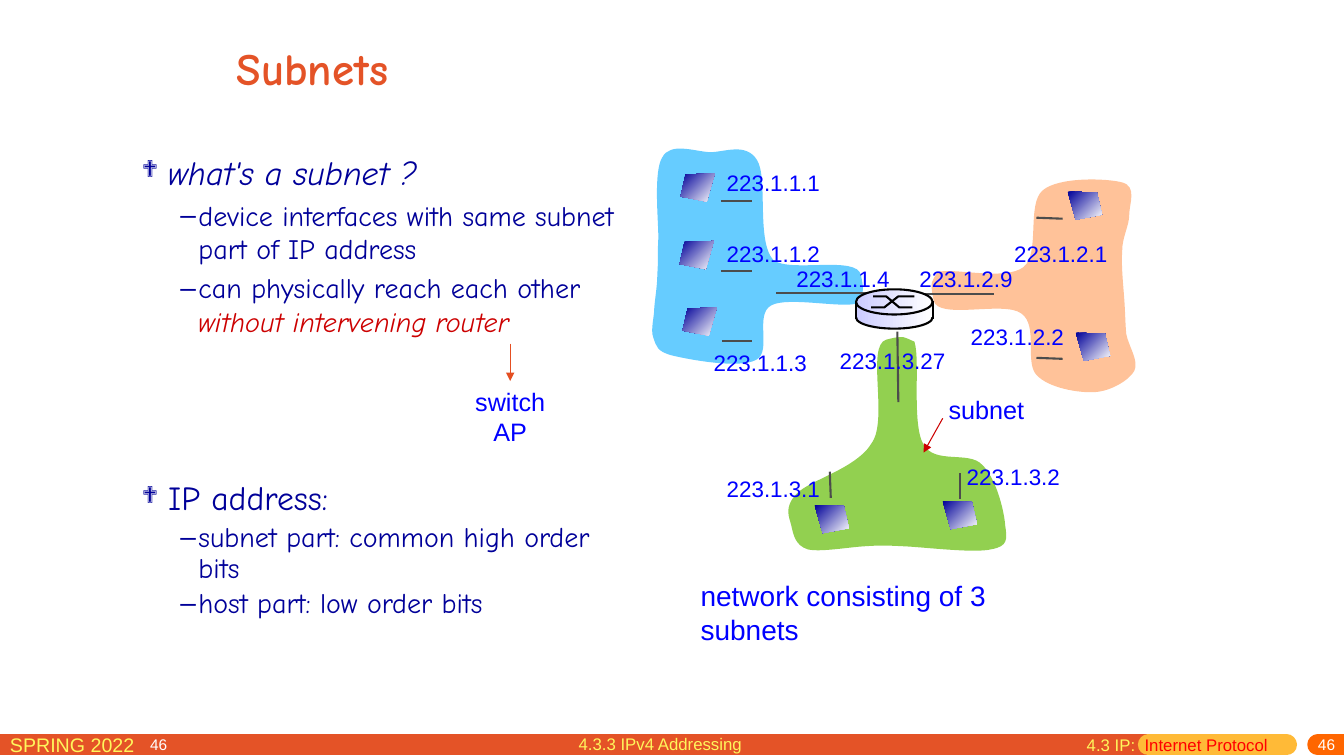
import lxml.etree
import pptx
import pptx.dml.color
import pptx.enum.shapes
import pptx.enum.text
import pptx.oxml.ns
import pptx.util

qn = pptx.oxml.ns.qn
ALIGN = pptx.enum.text.PP_ALIGN
ANCHOR = pptx.enum.text.MSO_ANCHOR
SHAPE = pptx.enum.shapes.MSO_SHAPE
COLS, ROWS = 133.3, 75


class Theme:
    sans, hand, symbol = "Arial", "Comic Neue", "Wingdings"
    title, head, body = 32, 24, 20
    caption, note, address, season, footer, number = 20, 18, 16, 14, 12, 11
    orange, amber, bright = "E45327", "FFBA37", "FF6600"
    yellow, red, white, black = "FFF65C", "FF0000", "FFFFFF", "000000"
    navy, blue, crimson, arrow = "000099", "0000FF", "CC0000", "E44F22"
    wire, lilac = "4C4C4C", "CCCCFF"
    sky, peach, green = "66CCFF", "FFC299", "92D050"


SKY_EDGE = [
    (85.4, 27.3), (85, 25.3), (78.4, 27.1), (76.7, 25.8), (75, 23.9), (76.2, 17.7), (75.1, 15.9),
    (74, 14.1), (71.9, 15.1), (70.4, 15.1), (68.8, 15), (66.5, 14.1), (65.7, 15.6),
    (64.8, 17), (65.3, 21.7), (65.3, 23.6), (65.2, 25.5), (65.3, 26), (65.2, 27.2),
    (65.2, 28.3), (65, 29.4), (64.9, 30.5), (64.9, 31.5), (64.5, 32.7), (64.8, 33.5),
    (65.1, 34.3), (65.1, 34.9), (66.8, 35.3), (68.5, 35.7), (73.4, 36.6), (75, 35.7),
    (76.6, 34.9), (74.8, 31.2), (76.5, 30.3), (78.1, 29.4), (83.5, 30.6), (85, 30.1),
    (85.5, 29.1), (85.8, 29.3), (85.4, 27.3)]
PEACH_EDGE = [
    (92.6, 29.8), (93, 31.8), (99.6, 29.8), (101.3, 31.1), (103, 32.3), (101.6, 35.9), (102.8, 37.2),
    (104, 38.5), (107, 39), (108.6, 38.9), (110.2, 38.8), (112, 37.7), (112.5, 36.8),
    (113, 35.8), (111.9, 34.3), (111.7, 33.1), (111.6, 31.9), (111.6, 30.9), (111.5, 29.6),
    (111.4, 28.2), (111.2, 26.3), (111.3, 24.9), (111.3, 23.5), (112, 22.4), (112, 21.3),
    (112, 20.2), (112.8, 18.5), (111.3, 18.1), (109.9, 17.7), (105, 17.5), (103.4, 18.9),
    (101.8, 20.3), (103.2, 25.2), (101.5, 26.5), (99.7, 27.9), (94.4, 26.5), (93, 27),
    (92.4, 28), (92.2, 27.8), (92.6, 29.8)]
GREEN_EDGE = [
    (87.9, 33.7), (85.9, 34.3), (88.1, 41.5), (86.5, 43.9), (85, 46.5), (80.3, 47.6), (79, 49),
    (77.7, 50.4), (78.3, 51.3), (78.5, 52.2), (78.7, 53.1), (78.9, 54.1), (80.1, 54.5),
    (81.3, 54.8), (84.1, 54.3), (85.7, 54.2), (87.3, 54.1), (87.6, 54.1), (89.7, 54.2),
    (91.8, 54.3), (96.7, 54.9), (98.3, 54.5), (100, 54.2), (99.9, 53.5), (99.7, 52.1),
    (99.6, 50.7), (98.8, 47.4), (97.4, 46.1), (96.1, 44.7), (92.7, 46.1), (91.6, 44.1),
    (90.4, 42.1), (91.3, 35.7), (90.7, 33.9), (89.7, 33.5), (89.8, 33.2), (87.9, 33.7)]

WIRES = [(71.5, 19.9, 74.6, 19.9), (71.5, 26.9, 74.6, 26.9), (71.6, 33.8, 74.6, 33.8),
         (77, 29.1, 86, 29.1), (91.6, 29.2, 98.6, 29.2), (102.8, 21.6, 105.4, 21.7),
         (102.8, 35.5, 105.4, 35.6), (89, 32.9, 89.1, 39.9), (82.4, 49.4, 82.3, 46.8),
         (95.2, 49.5, 95.2, 46.9)]
ADDRESSES = [("223.1.1.1", 71.1, 16.3), ("223.1.1.2", 71.1, 23.3), ("223.1.1.3", 69.8, 34.1),
             ("223.1.1.4", 78, 25.8), ("223.1.2.9", 90.2, 25.8), ("223.1.2.1", 99.6, 23.3),
             ("223.1.2.2", 95.3, 31.6), ("223.1.3.27", 82.3, 33.9), ("223.1.3.1", 71.1, 46.6),
             ("223.1.3.2", 94.9, 45.5)]
HOST = [(0, 0), (2.9, 0.1), (3.4, 2.3), (0.8, 2.8)]
MIRRORED_HOST = [(3.4 - x, y) for x, y in HOST]
LEFT_HOSTS = [(67.5, 17.2), (67.4, 23.9), (67.7, 30.5)]
OTHER_HOSTS = [(105.9, 19), (106.7, 33), (93.5, 49.7), (80.8, 50.1)]


def cell(n):
    return pptx.util.Inches(n / 10)


def rgb(color):
    return pptx.dml.color.RGBColor.from_string(color)


def add_run(p, text, size, color, font=Theme.sans, bold=False, italic=False):
    r = p.add_run()
    r.text = text
    r.font.size, r.font.name = pptx.util.Pt(size), font
    r.font.bold, r.font.italic = bold, italic
    r.font.color.rgb = rgb(color)


def add_box(s, x, y, w, h, wrap=True, grow=False, anchor=ANCHOR.TOP):
    sp = s.shapes.add_textbox(cell(x), cell(y), cell(w), cell(h))
    tf = sp.text_frame
    tf.word_wrap, tf.vertical_anchor = wrap, anchor
    if grow:
        tf.auto_size = pptx.enum.text.MSO_AUTO_SIZE.SHAPE_TO_FIT_TEXT
    return sp


def add_text(s, box, lines, align=ALIGN.LEFT, **options):
    sp = add_box(s, *box, **options)
    tf = sp.text_frame
    for i, runs in enumerate(lines):
        p = tf.add_paragraph() if i else tf.paragraphs[0]
        p.alignment = align
        for run in runs:
            add_run(p, *run)
    return sp


def add_bullets(s, box, items, spacing):
    tf = add_box(s, *box).text_frame
    for i, runs in enumerate(items):
        p = tf.add_paragraph() if i else tf.paragraphs[0]
        pPr = p._p.get_or_add_pPr()
        margin, indent = (0.56, -0.18) if i else (0.26, -0.26)
        pPr.set("marL", str(pptx.util.Inches(margin)))
        pPr.set("indent", str(pptx.util.Inches(indent)))
        if not i:
            lxml.etree.SubElement(pPr, qn("a:buSzPct"), val="70000")
        lxml.etree.SubElement(pPr, qn("a:buFont"), typeface=Theme.sans if i else Theme.symbol)
        lxml.etree.SubElement(pPr, qn("a:buChar"), char="–" if i else "❖")
        p.level = min(i, 1)
        p.line_spacing = spacing
        p.space_before = pptx.util.Pt(4 if i else 0)
        for text, color, italic in runs:
            add_run(p, text, Theme.body if i else Theme.head, color, Theme.hand, italic=italic)


def add_line(s, ends, color, width=1.5, arrow=False, cap="flat"):
    c = s.shapes.add_connector(pptx.enum.shapes.MSO_CONNECTOR.STRAIGHT, *map(cell, ends))
    c.line.color.rgb, c.line.width = rgb(color), pptx.util.Pt(width)
    spPr = c.element.spPr
    ln = spPr.find(qn("a:ln"))
    ln.set("cap", cap)
    if arrow:
        lxml.etree.SubElement(ln, qn("a:tailEnd"), type="triangle")
    lxml.etree.SubElement(spPr, qn("a:effectLst"))
    return c


def paint(sp, fill=None, fade=None, angle=0, line=None):
    sp.shadow.inherit = False
    if fade:
        sp.fill.gradient()
        sp.fill.gradient_angle = angle
        for stop, color in zip(sp.fill.gradient_stops, (fade, Theme.white)):
            stop.color.rgb = rgb(color)
    elif fill:
        sp.fill.solid()
        sp.fill.fore_color.rgb = rgb(fill)
    else:
        sp.fill.background()
    if line:
        sp.line.color.rgb, sp.line.width = rgb(line), pptx.util.Pt(1.5)
    else:
        sp.line.fill.background()


def add_outline(s, points, close=True, **style):
    points = [(cell(x), cell(y)) for x, y in points]
    builder = s.shapes.build_freeform(*points[0])
    builder.add_line_segments(points[1:], close=close)
    sp = builder.convert_to_shape()
    paint(sp, **style)
    return sp


def add_subnet(s, edge, color):
    sp = add_outline(s, edge, fill=color)
    segments = list(sp.element.iter(qn("a:lnTo")))[:len(edge) - 1]
    for i in range(0, len(segments), 3):
        curve = lxml.etree.Element(qn("a:cubicBezTo"))
        segments[i].addprevious(curve)
        for segment in segments[i:i + 3]:
            curve.append(segment[0])
            segment.getparent().remove(segment)


def add_host(s, x, y, corners):
    add_outline(s, [(x + dx, y + dy) for dx, dy in corners], fade=Theme.navy, angle=315)


def add_router(s, x, y, w):
    for kind, dy, h, line in ((SHAPE.OVAL, 1.7, 2.2, Theme.black), (SHAPE.RECTANGLE, 1.5, 1.3, None),
                              (SHAPE.OVAL, 0, 2.5, Theme.black)):
        sp = s.shapes.add_shape(kind, cell(x), cell(y + dy), cell(w), cell(h))
        paint(sp, fade=Theme.lilac, line=line)
    for offsets, start, end in (((1.5, 2.8, 4.2, 5.8), 1.8, 0.7), ((1.7, 3, 4.3, 5.6), 0.7, 1.8)):
        heights = (start, start, end, end)
        add_outline(s, [(x + dx, y + dy) for dx, dy in zip(offsets, heights)],
                    close=False, line=Theme.black)
    for side in (x, x + w):
        add_line(s, (side, y + 1.2, side, y + 2.9), Theme.black)


def add_footer(s):
    T = Theme
    for start, end, color, cap in ((0, 113.9, T.orange, "flat"), (113.9, 127.6, T.amber, "rnd"),
                                   (130.7, COLS, T.bright, "rnd")):
        add_line(s, (start, 73.9, end, 73.9), color, 15, cap=cap)
    add_text(s, (0, 72.2, 22.9, 3.1), [[("SPRING 2022", T.season, T.yellow)]])
    for box, align in (((107.5, 73.2, 25.9, 1.8), ALIGN.RIGHT), ((13.9, 73.3, 5.5, 1.5), ALIGN.LEFT)):
        tf = add_text(s, box, [[("46", T.number, T.white)]], align, anchor=ANCHOR.MIDDLE).text_frame
        tf.margin_top = 0
    add_text(s, (106.8, 72.4, 22, 3.1), [[("4.3 IP: ", T.footer, T.yellow),
                                        (" Internet Protocol", T.footer, T.red)]])
    add_text(s, (56.4, 72.3, 28.9, 3.1), [[("4.3.3 IPv4 Addressing", T.footer, T.yellow)]])


def add_network(s):
    T = Theme
    for edge, color in ((SKY_EDGE, T.sky), (PEACH_EDGE, T.peach), (GREEN_EDGE, T.green)):
        add_subnet(s, edge, color)
    for ends in WIRES:
        add_line(s, ends, T.wire)
    for hosts, corners in ((LEFT_HOSTS, MIRRORED_HOST), (OTHER_HOSTS, HOST)):
        for x, y in hosts:
            add_host(s, x, y, corners)
    add_router(s, 84.9, 28.7, 7.6)
    for text, x, y in ADDRESSES:
        width = 11.3 + 1.2 * (len(text) - 9)
        add_text(s, (x, y, width, 3.7), [[(text, T.address, T.blue)]], wrap=False, grow=True)
    add_text(s, (93.1, 38.6, 9.5, 4), [[("subnet", T.note, T.blue)]], wrap=False, grow=True)
    add_line(s, (93.5, 41.5, 91.6, 44.9), T.crimson, 0.75, arrow=True)
    caption = add_text(s, (68.5, 56.9, 40.7, 4.3),
                       [[("network consisting of 3 subnets", T.caption, T.blue)]])
    caption.text_frame.margin_right = cell(7)


def main():
    T = Theme
    prs = pptx.Presentation()
    prs.slide_width, prs.slide_height = cell(COLS), cell(ROWS)
    s = prs.slides.add_slide(prs.slide_layouts[6])
    add_footer(s)
    add_text(s, (22.5, 2.5, 40.5, 8.4), [[("Subnets", T.title, T.orange, T.hand, True)]],
             anchor=ANCHOR.MIDDLE)
    add_bullets(s, (13.1, 14.6, 49.2, 21.2), [
        [("what's a subnet ?", T.navy, True)],
        [("device interfaces with same subnet part of IP address", T.navy, False)],
        [("can physically reach each other ", T.navy, False),
         ("without intervening router", T.crimson, True)]], 1.0)
    add_bullets(s, (13.1, 47.3, 49.2, 16.2), [
        [("IP address:", T.navy, False)],
        [("subnet part: common high order bits", T.navy, False)],
        [("host part: low order bits", T.navy, False)]], 0.9)
    add_network(s)
    devices = add_text(s, (45.5, 37.8, 10.2, 7.1),
                       [[(name, T.note, T.blue)] for name in ("switch", "AP")], ALIGN.CENTER, grow=True)
    add_line(s, (50.6, 34.1, 50.6, 37.8), T.arrow, 0.75, arrow=True).end_connect(devices, 0)
    prs.save("out.pptx")


if __name__ == "__main__":
    main()
